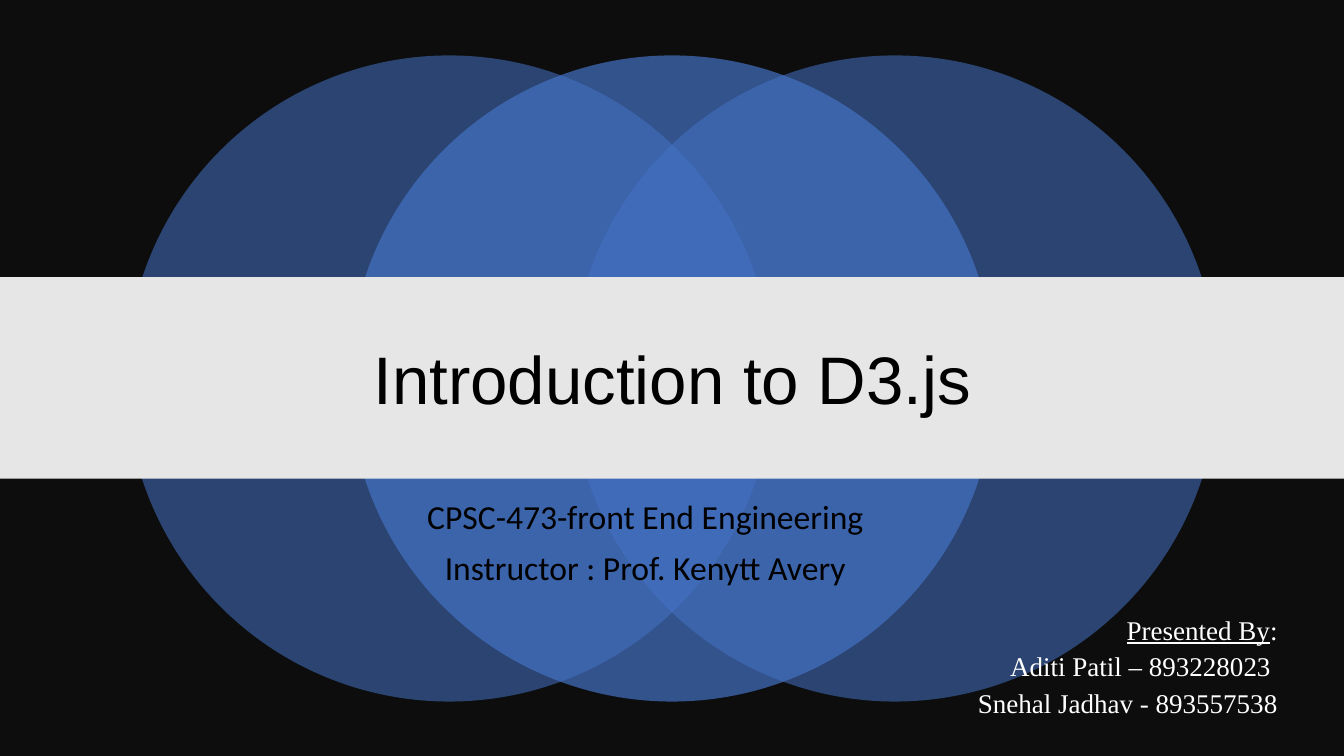
"""Build the title slide of a talk introducing D3.js."""
import pptx
import pptx.dml.color
import pptx.enum.shapes
import pptx.enum.text
import pptx.oxml.ns
import pptx.util

WIDTH, HEIGHT = 13.33, 7.5
DIAMETER, CIRCLE_TOP, CIRCLE_STEP = 6.41, 0.55, 2.21
SHAPES = pptx.enum.shapes.MSO_SHAPE
ALIGN = pptx.enum.text.PP_ALIGN
ANCHOR = pptx.enum.text.MSO_ANCHOR


def color(value):
    return pptx.dml.color.RGBColor.from_string(value)


def inches(*lengths):
    return [pptx.util.Inches(length) for length in lengths]


def apply_format(target, values):
    for name, value in values.items():
        setattr(target, name, value)


def add_filled(page, kind, place, fill, opacity=100):
    shape = page.shapes.add_shape(kind, *inches(*place))
    shape.shadow.inherit = False
    shape.line.fill.background()
    shape.fill.solid()
    shape.fill.fore_color.rgb = color(fill)
    if opacity < 100:
        tint = shape.fill._xPr.find(".//" + pptx.oxml.ns.qn("a:srgbClr"))
        alpha = tint.makeelement(pptx.oxml.ns.qn("a:alpha"), {"val": str(opacity * 1000)})
        tint.append(alpha)


def add_text(page, place, lines, font, ink, para_format, anchor=ANCHOR.TOP):
    box = page.shapes.add_textbox(*inches(*place))
    frame = box.text_frame
    apply_format(frame, {"word_wrap": True, "vertical_anchor": anchor})
    for index, line in enumerate(lines):
        para = frame.paragraphs[0] if index == 0 else frame.add_paragraph()
        apply_format(para, para_format)
        for text, underline in line:
            span = para.add_run()
            span.text = text
            apply_format(span.font, {**font, "underline": underline})
            span.font.color.rgb = color(ink)


def main():
    deck = pptx.Presentation()
    deck.slide_width, deck.slide_height = inches(WIDTH, HEIGHT)
    page = deck.slides.add_slide(deck.slide_layouts[6])
    page.background.fill.solid()
    page.background.fill.fore_color.rgb = color("0D0D0D")

    middle = (WIDTH - DIAMETER) / 2
    for offset, opacity in ((-1, 55), (1, 55), (0, 70)):
        left = middle + offset * CIRCLE_STEP
        add_filled(page, SHAPES.OVAL, (left, CIRCLE_TOP, DIAMETER, DIAMETER), "4472C4", opacity)
    add_filled(page, SHAPES.RECTANGLE, (0, 2.75, WIDTH, 2), "E7E6E6")

    spaced = {"space_before": pptx.util.Pt(10)}
    centred = {"alignment": ALIGN.CENTER, "line_spacing": 0.9}
    add_text(page, (1.67, 3.04, 10, 1.51), [[("Introduction to D3.js", False)]],
             {"name": "Arial", "size": pptx.util.Pt(48)}, "000000", centred, ANCHOR.MIDDLE)
    add_text(page, (1.14, 4.92, 10.52, 1.3),
             [[("CPSC-473-front End Engineering", False)],
              [("Instructor : Prof. Kenytt Avery", False)]],
             {"name": "Calibri", "size": pptx.util.Pt(24)}, "000000", {**centred, **spaced})
    add_text(page, (9.47, 6.12, 3.3, 1.21),
             [[("Presented By", True), (":", False)],
              [("Aditi Patil – 893228023 ", False)],
              [("Snehal Jadhav - 893557538", False)]],
             {"name": "Times New Roman", "size": pptx.util.Pt(19.3)}, "FFFFFF",
             {"alignment": ALIGN.RIGHT, "line_spacing": 0.7, **spaced})
    deck.save("out.pptx")


if __name__ == "__main__":
    main()
